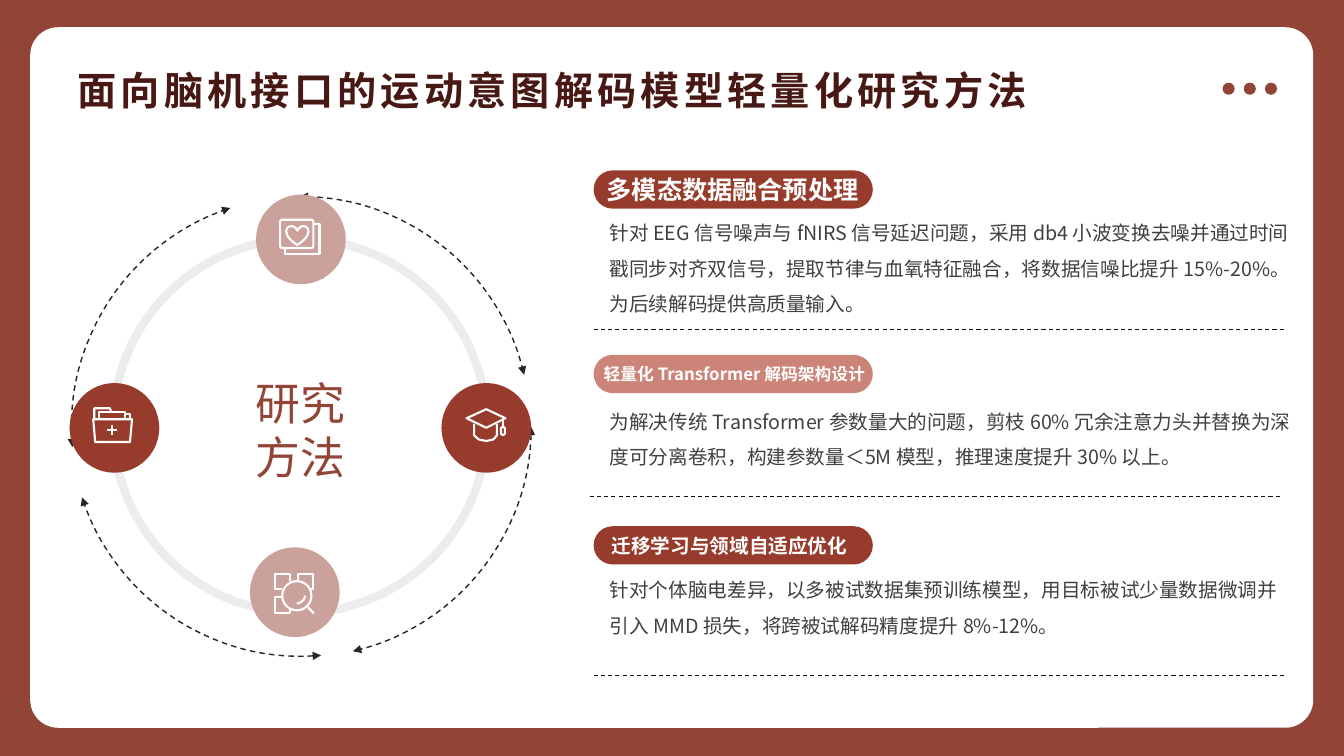
from lxml.etree import SubElement
from pptx import Presentation
from pptx.dml.color import RGBColor
from pptx.enum.dml import MSO_LINE_DASH_STYLE as Dash
from pptx.enum.shapes import MSO_CONNECTOR as Conn, MSO_SHAPE as Form
from pptx.enum.text import MSO_ANCHOR as Anchor, PP_ALIGN as Align
from pptx.oxml.ns import qn
from pptx.util import Cm, Pt

# Content
FONT = "Noto Sans CJK SC"
TITLE = "面向脑机接口的运动意图解码模型轻量化研究方法"
HUB = "研究方法"

BRICK = RGBColor(0x92, 0x44, 0x37)
RUST = RGBColor(0x97, 0x3C, 0x2C)
CORAL = RGBColor(0xCC, 0x84, 0x78)
ROSE = RGBColor(0xCB, 0xA1, 0x9C)
MAROON = RGBColor(0x48, 0x19, 0x14)
WHITE = RGBColor(0xFF, 0xFF, 0xFF)
BLACK = RGBColor(0x0D, 0x0D, 0x0D)
COAL = RGBColor(0x26, 0x26, 0x26)
GREY = RGBColor(0x40, 0x40, 0x40)

# Places are in inches: pill top, pill colour, head (left, top, size),
# body (top, width), rule (left, top)
PARTS = [
    dict(pill=1.69, fill=RUST, head="多模态数据融合预处理", spot=(5.92, 1.68, 18),
         body="针对 EEG 信号噪声与 fNIRS 信号延迟问题，采用 db4 小波变换去噪并通过"
              "时间戳同步对齐双信号，提取节律与血氧特征融合，将数据信噪比提升 15%-20%。"
              "为后续解码提供高质量输入。",
         text=(2.03, 7), rule=(5.89, 3.27)),
    dict(pill=3.52, fill=CORAL, head="轻量化 Transformer 解码架构设计", spot=(5.89, 3.56, 12),
         body="为解决传统 Transformer 参数量大的问题，剪枝 60% 冗余注意力头并替换为"
              "深度可分离卷积，构建参数量＜5M 模型，推理速度提升 30% 以上。",
         text=(3.9, 7.1), rule=(5.85, 4.93)),
    dict(pill=5.22, fill=RUST, head="迁移学习与领域自适应优化", spot=(5.97, 5.25, 14),
         body="针对个体脑电差异，以多被试数据集预训练模型，用目标被试少量数据微调并"
              "引入 MMD 损失，将跨被试解码精度提升 8%-12%。",
         text=(5.57, 7), rule=(5.89, 6.7)),
]

ARCS = [(0.69, 1.95, 0), (0.7, 1.95, 90), (0.7, 1.94, 175), (0.71, 1.95, 265)]

# Icon strokes: hundredths of an inch from the centre of the node
CARDS = dict(
    forms=[(Form.ROUNDED_RECTANGLE, -20.5, -19.5, 33, 28, 0.07),
           (Form.HEART, -14.5, -13.5, 22, 19, None)],
    lines=[[(13.5, -15.5), (18.5, -15.5), (18.5, 14.5), (-15.5, 14.5), (-15.5, 9.5)]])
CAP = dict(
    forms=[(Form.ROUNDED_RECTANGLE, 14.5, -1, 4, 8, 0.5)],
    lines=[[(0, -18.5), (19, -9.5), (0, 0), (-19.5, -9.5), (0, -18.5)],
           [(-12, -4), (-12, 7.5), (-7.5, 11.5), (0, 13), (7, 11.5), (10.5, 7.5), (10.5, -4)],
           [(16.5, -9), (16.5, -2)]])
LENS = dict(
    forms=[(Form.OVAL, -12.5, -11, 29, 29, None)],
    lines=[[(-12.5, -3), (-20, -3), (-20, -18), (-4.5, -18), (-4.5, -11)],
           [(3.5, -12), (3.5, -18), (18.5, -18), (18.5, -3), (16, -3)],
           [(-13, 5), (-20, 5), (-20, 20.5), (-4.5, 20.5), (-4.5, 18)],
           [(2, 11.5), (6, 10), (9, 7.5), (10.5, 3.5)],
           [(13, 15), (19, 21)]])
FOLDER = dict(
    forms=[],
    lines=[[(-21, -8.5), (17.5, -8.5), (15.5, 14), (-19, 14), (-21, -8.5)],
           [(-20, -9), (-20, -19.5), (-4.5, -19.5), (-3, -16)],
           [(-15, -9), (-15, -16), (11, -16), (11, -9)],
           [(11, -14), (15.5, -14), (15.5, -9)],
           [(-7, 2.5), (3, 2.5)], [(-2, -2.5), (-2, 7.5)]])
NODE = 0.89
NODES = [(2.54, 1.93, ROSE, CARDS), (4.38, 3.8, RUST, CAP),
         (2.48, 5.43, ROSE, LENS), (0.69, 3.8, RUST, FOLDER)]

deck = Presentation()
deck.slide_width, deck.slide_height = Cm(33.87), Cm(19.05)
slide = deck.slides.add_slide(deck.slide_layouts[6])
shapes = slide.shapes


def inch(num):
    return Cm(num * 2.54)


def pen(line, color, width, dash=None):
    line.color.rgb = color
    line.width = Pt(width)
    if dash:
        line.dash_style = dash


def style(shape, fill=None, line=None):
    shape.shadow.inherit = False
    if fill is None:
        shape.fill.background()
    else:
        shape.fill.solid()
        shape.fill.fore_color.rgb = fill
    if line:
        pen(shape.line, *line)
    else:
        shape.line.fill.background()
    return shape


def draw(form, left, top, wide, high, adj=None, **look):
    shape = shapes.add_shape(form, *map(inch, (left, top, wide, high)))
    if adj is not None:
        shape.adjustments[0] = adj
    return style(shape, **look)


def rule(start, end, *look):
    link = shapes.add_connector(Conn.STRAIGHT, *map(inch, (*start, *end)))
    pen(link.line, *look)
    SubElement(link._element.spPr, qn("a:effectLst"))


def write(text, left, top, wide, high, size=14, color=GREY, bold=False,
          align=None, anchor=Anchor.TOP, lead=None, track=None):
    frame = shapes.add_textbox(*map(inch, (left, top, wide, high))).text_frame
    frame.word_wrap = True
    frame.vertical_anchor = anchor
    para = frame.paragraphs[0]
    para.alignment, para.line_spacing = align, lead
    run = para.add_run()
    run.text = text
    font = run.font
    font.name, font.size, font.bold = FONT, Pt(size), bold
    font.color.rgb = color
    props = run._r.get_or_add_rPr()
    SubElement(props, qn("a:ea"), typeface=FONT)
    if track:
        props.set("spc", str(track * 100))


def sketch(icon, mid_x, mid_y):
    look = (WHITE, 1.5)
    for form, left, top, wide, high, adj in icon["forms"]:
        draw(form, mid_x + left / 100, mid_y + top / 100, wide / 100, high / 100,
             adj, line=look)
    for line in icon["lines"]:
        dots = [(mid_x + x / 100, mid_y + y / 100) for x, y in line]
        if len(dots) == 2:
            rule(*dots, *look)
            continue
        first, *rest = [(inch(x), inch(y)) for x, y in dots]
        path = shapes.build_freeform(*first)
        path.add_line_segments(rest, close=line[0] == line[-1])
        style(path.convert_to_shape(), line=look)


# Backdrop and title
slide.background.fill.solid()
slide.background.fill.fore_color.rgb = BRICK
draw(Form.ROUNDED_RECTANGLE, 0.3, 0.27, 12.73, 6.95, 0.04, fill=WHITE)
for num in range(3):
    draw(Form.OVAL, 12.13 + 0.21 * num, 0.82, 0.12, 0.12, fill=BRICK)
write(TITLE, 0.67, 0.51, 12, 0.77, size=28, color=MAROON, bold=True,
      anchor=Anchor.MIDDLE, track=3)

# Ring with a faint outline
ring = draw(Form.OVAL, 1.12, 2.37, 3.71, 3.71, line=(BLACK, 6))
tint = ring.line._ln.find(".//" + qn("a:srgbClr"))
SubElement(tint, qn("a:alpha"), val="8000")

# Dashed arcs with two arrowheads
for left, top, turn in ARCS:
    arc = draw(Form.ARC, left, top, 4.57, 4.57, line=(COAL, 1, Dash.DASH))
    arc.adjustments[0], arc.adjustments[1] = 162, 208.16
    arc.rotation = turn
    for end in ("a:headEnd", "a:tailEnd"):
        SubElement(arc.line._ln, qn(end), type="triangle")

# Hub and nodes
write(HUB, 2.25, 3.68, 1.46, 0.84, size=32, color=BRICK, align=Align.CENTER)
for left, top, fill, icon in NODES:
    draw(Form.OVAL, left, top, NODE, NODE, fill=fill)
    sketch(icon, left + NODE / 2, top + NODE / 2)

# Three methods
for part in PARTS:
    draw(Form.ROUNDED_RECTANGLE, 5.89, part["pill"], 2.77, 0.38, 0.5, fill=part["fill"])
    left, top, size = part["spot"]
    write(part["head"], left, top, 3.78, 0.4, size=size, color=WHITE, bold=True)
    top, wide = part["text"]
    write(part["body"], 5.95, top, wide, 0.9, lead=1.5)
    left, top = part["rule"]
    rule((left, top), (left + 6.85, top), BLACK, 0.75, Dash.DASH)

deck.save("out.pptx")
